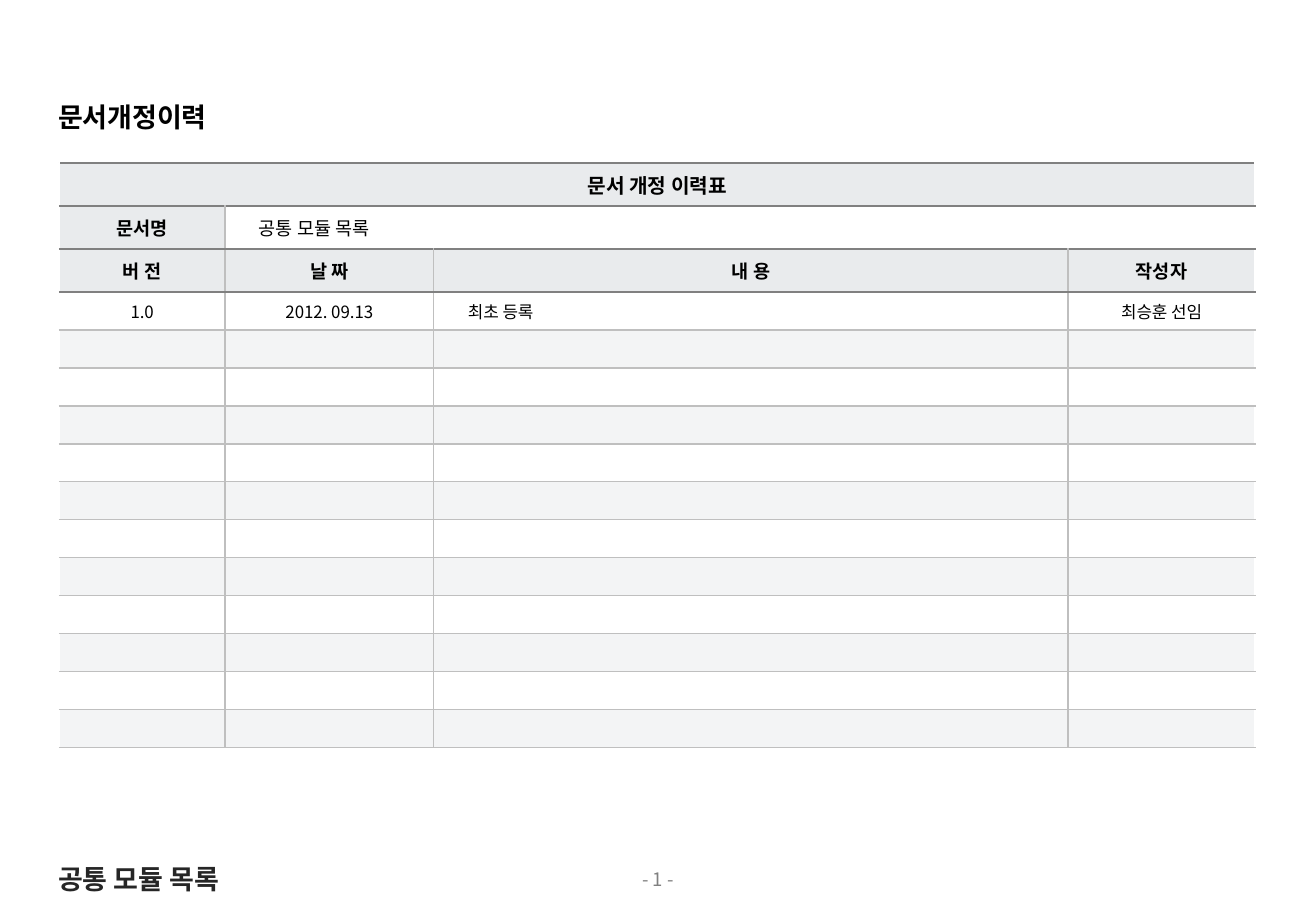
from dataclasses import dataclass

import lxml.etree
import pptx
import pptx.dml.color
import pptx.enum.text
import pptx.oxml.ns
import pptx.util

Inches = pptx.util.Inches
Align = pptx.enum.text.PP_ALIGN


@dataclass(frozen=True)
class Theme:
    font: str = "Noto Sans CJK KR"
    black: str = "000000"
    footer_title: str = "262626"
    dark_rule: str = "808080"
    light_rule: str = "BFBFBF"
    white: str = "FFFFFF"
    header_fill: str = "E9EBED"
    band_fill: str = "F3F4F5"
    heading_size: int = 16
    caption_size: int = 12
    label_size: int = 11
    entry_size: int = 10


@dataclass(frozen=True)
class Label:
    text: str
    left: float
    top: float
    width: float
    height: float
    size: int
    color: str
    bold: bool = True
    align: Align = Align.LEFT
    wrap: bool = False


@dataclass(frozen=True)
class Entry:
    text: str = ""
    size: int = 10
    bold: bool = False
    header: bool = False
    indented: bool = False
    span: int = 1


THEME = Theme()
COLUMN_WIDTHS = (1.36, 1.72, 5.22, 1.54)
LAST_COLUMN = len(COLUMN_WIDTHS) - 1
HEADER_ROWS = 3
BLANK_ROWS = 11
TABLE_LEFT, TABLE_TOP, TABLE_HEIGHT = 0.49, 1.34, 4.82
HEADER_SHARE, ENTRY_SHARE = 17, 15


def write_text(frame, text: str, *, size: int, color: str = THEME.black,
               bold: bool = False, align: Align = Align.LEFT) -> None:
    paragraph = frame.paragraphs[0]
    paragraph.alignment = align
    if not text:
        paragraph._p.get_or_add_endParaRPr().set("sz", str(size * 100))
        return
    run = paragraph.add_run()
    run.text = text
    run.font.size = pptx.util.Pt(size)
    run.font.bold = bold
    run.font.name = THEME.font
    run.font.color.rgb = pptx.dml.color.RGBColor.from_string(color)
    east_asian = lxml.etree.SubElement(run.font._element, pptx.oxml.ns.qn("a:ea"))
    east_asian.set("typeface", THEME.font)


def draw_label(slide, label: Label) -> None:
    box = slide.shapes.add_textbox(
        Inches(label.left), Inches(label.top), Inches(label.width), Inches(label.height))
    box.text_frame.word_wrap = label.wrap
    box.text_frame.auto_size = pptx.enum.text.MSO_AUTO_SIZE.SHAPE_TO_FIT_TEXT
    write_text(box.text_frame, label.text, size=label.size, color=label.color,
               bold=label.bold, align=label.align)


def draw_borders(cell, colors: dict[str, str]) -> None:
    properties = cell._tc.get_or_add_tcPr()
    for side in "LRTB":
        line = lxml.etree.SubElement(properties, pptx.oxml.ns.qn(f"a:ln{side}"))
        line.set("w", str(pptx.util.Pt(1)))
        fill = lxml.etree.SubElement(line, pptx.oxml.ns.qn("a:solidFill"))
        lxml.etree.SubElement(fill, pptx.oxml.ns.qn("a:srgbClr")).set("val", colors[side])


def draw_entry(cell, entry: Entry, row: int, column: int) -> None:
    draw_borders(cell, {
        "L": THEME.white if column == 0 else THEME.light_rule,
        "R": THEME.white if column + entry.span > LAST_COLUMN else THEME.light_rule,
        "T": THEME.dark_rule if row <= HEADER_ROWS else THEME.light_rule,
        "B": THEME.dark_rule if row < HEADER_ROWS else THEME.light_rule,
    })
    banded = row > HEADER_ROWS and (row - HEADER_ROWS) % 2 == 1
    if entry.header or banded:
        cell.fill.solid()
        cell.fill.fore_color.rgb = pptx.dml.color.RGBColor.from_string(
            THEME.header_fill if entry.header else THEME.band_fill)
    else:
        cell.fill.background()
    cell.vertical_anchor = pptx.enum.text.MSO_ANCHOR.MIDDLE
    cell.margin_left = Inches(0.28 if entry.indented else 0.06)
    cell.margin_right = Inches(0.06)
    cell.margin_top = cell.margin_bottom = Inches(0.03)
    write_text(cell.text_frame, entry.text, size=entry.size, bold=entry.bold,
               align=Align.LEFT if entry.indented else Align.CENTER)


def heading(text: str, size: int = THEME.label_size, span: int = 1) -> Entry:
    return Entry(text, size, bold=True, header=True, span=span)


def draw_history(slide, rows: list[list[Entry]]) -> None:
    table = slide.shapes.add_table(
        len(rows), len(COLUMN_WIDTHS), Inches(TABLE_LEFT), Inches(TABLE_TOP),
        Inches(sum(COLUMN_WIDTHS)), Inches(TABLE_HEIGHT)).table
    table.first_row = table.horz_banding = False
    for column, width in zip(table.columns, COLUMN_WIDTHS):
        column.width = Inches(width)
    shares = [HEADER_SHARE if row < HEADER_ROWS else ENTRY_SHARE for row in range(len(rows))]
    for table_row, share in zip(table.rows, shares):
        table_row.height = Inches(TABLE_HEIGHT * share / sum(shares))
    for row, entries in enumerate(rows):
        column = 0
        for entry in entries:
            cell = table.cell(row, column)
            if entry.span > 1:
                cell.merge(table.cell(row, column + entry.span - 1))
            draw_entry(cell, entry, row, column)
            for covered in range(column + 1, column + entry.span):
                draw_entry(table.cell(row, covered), Entry(header=entry.header), row, covered)
            column += entry.span


HISTORY = [
    [heading("문서 개정 이력표", THEME.caption_size, span=4)],
    [heading("문서명"), Entry("공통 모듈 목록", THEME.label_size, indented=True, span=3)],
    [heading(text) for text in ("버 전", "날 짜", "내 용", "작성자")],
    [Entry("1.0", THEME.entry_size), Entry("2012. 09.13", THEME.entry_size),
     Entry("최초 등록", THEME.entry_size, indented=True),
     Entry("최승훈 선임", THEME.entry_size)],
] + [[Entry(size=THEME.entry_size)] * len(COLUMN_WIDTHS) for _ in range(BLANK_ROWS)]

LABELS = (
    Label("- 1 -", 0, 7.1, 10.83, 0.29, THEME.label_size, THEME.dark_rule,
          bold=False, align=Align.CENTER, wrap=True),
    Label("공통 모듈 목록", 0.38, 7.05, 1.71, 0.37, THEME.heading_size, THEME.footer_title),
    Label("문서개정이력", 0.38, 0.78, 1.55, 0.37, THEME.heading_size, THEME.black),
)

presentation = pptx.Presentation()
presentation.slide_width = Inches(10.83)
presentation.slide_height = Inches(7.5)
revision_slide = presentation.slides.add_slide(presentation.slide_layouts[6])
draw_history(revision_slide, HISTORY)
for slide_label in LABELS:
    draw_label(revision_slide, slide_label)
presentation.save("out.pptx")
